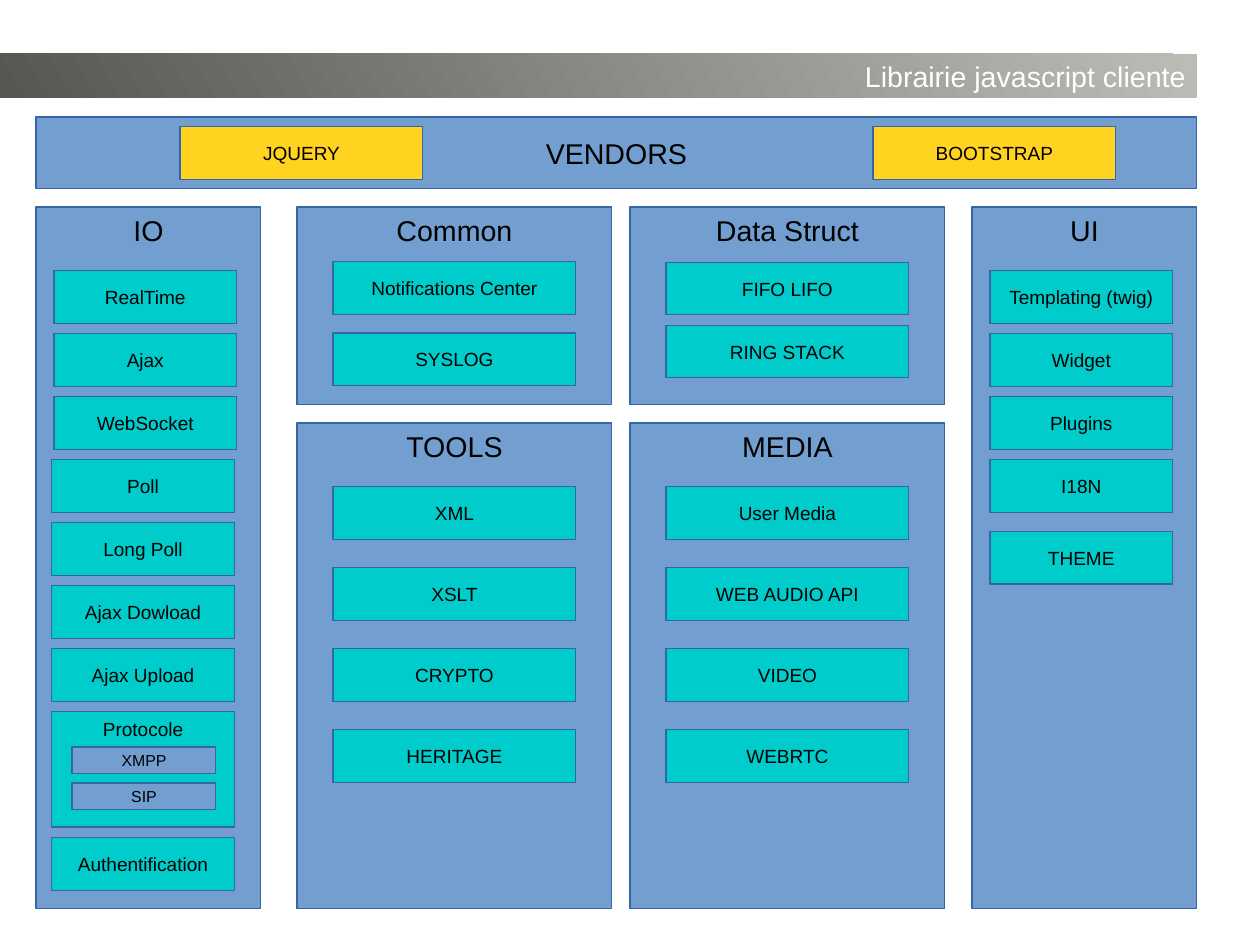
from pptx import Presentation
from pptx.dml.color import RGBColor
from pptx.enum.shapes import MSO_SHAPE
from pptx.enum.text import MSO_ANCHOR, PP_ALIGN
from pptx.util import Cm, Pt

COLUMNS, ROWS = 28, 21
CELL = Cm(1)
BOX_HEIGHT = 1.17
NARROW, WIDE = 4.06, 5.4
STEP, LOOSE_STEP = 1.4, 1.8
FIRST_ROW, TOOLS_ROW = 6.02, 10.82

COLORS = {
    "panel": "729FCF",
    "module": "00CCCC",
    "vendor": "FFD320",
    "border": "3465A4",
    "text": "000000",
    "title": "FFFFFF",
    "band_light": "BABDB6",
    "band_dark": "555753",
}


def color(name):
    return RGBColor.from_string(COLORS[name])


def block(slide, label, column, row, width, height, size,
          anchor=MSO_ANCHOR.MIDDLE, align=PP_ALIGN.CENTER, ink="text"):
    area = [round(cells * CELL) for cells in (column, row, width, height)]
    rectangle = slide.shapes.add_shape(MSO_SHAPE.RECTANGLE, *area)
    rectangle.shadow.inherit = False
    frame = rectangle.text_frame
    frame.word_wrap = True
    frame.vertical_anchor = anchor
    paragraph = frame.paragraphs[0]
    paragraph.text = label
    paragraph.alignment = align
    paragraph.font.name = "Arial"
    paragraph.font.size = Pt(size)
    paragraph.font.color.rgb = color(ink)
    return rectangle


def title_band(slide, label):
    band = block(slide, label, 0, 1.19, 26.6, 0.97, 18,
                 MSO_ANCHOR.TOP, PP_ALIGN.RIGHT, "title")
    band.line.fill.background()
    band.fill.gradient()
    band.fill.gradient_angle = 210
    for stop, shade in zip(band.fill.gradient_stops, ("band_light", "band_dark")):
        stop.color.rgb = color(shade)


def bordered(slide, label, column, row, width, height, size, fill,
             anchor=MSO_ANCHOR.MIDDLE):
    box = block(slide, label, column, row, width, height, size, anchor)
    box.fill.solid()
    box.fill.fore_color.rgb = color(fill)
    box.line.color.rgb = color("border")
    box.line.width = Pt(0)


def panel(slide, label, column, row, width, height, anchor=MSO_ANCHOR.TOP):
    bordered(slide, label, column, row, width, height, 18, "panel", anchor)


def module(slide, label, column, row, width, fill="module"):
    bordered(slide, label, column, row, width, BOX_HEIGHT, 12, fill)


def stack(slide, labels, column, row, width, step):
    for index, label in enumerate(labels):
        module(slide, label, column, row + index * step, width)


def vendors(slide):
    panel(slide, "VENDORS", 0.8, 2.6, 25.8, 1.6, MSO_ANCHOR.MIDDLE)
    for label, column in (("JQUERY", 4), ("BOOTSTRAP", 19.4)):
        module(slide, label, column, 2.82, WIDE, "vendor")


def io_panel(slide):
    panel(slide, "IO", 0.8, 4.6, 5, 15.6)
    live = ["RealTime", "Ajax", "WebSocket"]
    transfers = ["Poll", "Long Poll", "Ajax Dowload", "Ajax Upload"]
    stack(slide, live, 1.2, FIRST_ROW, NARROW, STEP)
    stack(slide, transfers, 1.15, FIRST_ROW + 3 * STEP, NARROW, STEP)
    bordered(slide, "Protocole", 1.15, FIRST_ROW + 7 * STEP, NARROW, 2.56, 12,
             "module", MSO_ANCHOR.TOP)
    for index, protocol in enumerate(["XMPP", "SIP"]):
        bordered(slide, protocol, 1.6, 16.6 + 0.8 * index, 3.2, 0.6, 10, "panel")
    module(slide, "Authentification", 1.15, FIRST_ROW + 9 * STEP, NARROW)


def middle_panels(slide):
    panel(slide, "Common", 6.6, 4.6, 7, 4.4)
    stack(slide, ["Notifications Center", "SYSLOG"], 7.4, 5.82, WIDE, 1.58)
    panel(slide, "Data Struct", 14, 4.6, 7, 4.4)
    stack(slide, ["FIFO LIFO", "RING STACK"], 14.8, 5.83, WIDE, STEP)
    panel(slide, "TOOLS", 6.6, 9.4, 7, 10.8)
    stack(slide, ["XML", "XSLT", "CRYPTO", "HERITAGE"],
          7.4, TOOLS_ROW, WIDE, LOOSE_STEP)
    panel(slide, "MEDIA", 14, 9.4, 7, 10.8)
    stack(slide, ["User Media", "WEB AUDIO API", "VIDEO", "WEBRTC"],
          14.8, TOOLS_ROW, WIDE, LOOSE_STEP)


def ui_panel(slide):
    panel(slide, "UI", 21.6, 4.6, 5, 15.6)
    stack(slide, ["Templating (twig)", "Widget", "Plugins", "I18N"],
          22, FIRST_ROW, NARROW, STEP)
    module(slide, "THEME", 22, 11.81, NARROW)


def main():
    presentation = Presentation()
    presentation.slide_width = COLUMNS * CELL
    presentation.slide_height = ROWS * CELL
    slide = presentation.slides.add_slide(presentation.slide_layouts[6])
    title_band(slide, "Librairie javascript cliente")
    vendors(slide)
    io_panel(slide)
    middle_panels(slide)
    ui_panel(slide)
    presentation.save("out.pptx")


if __name__ == "__main__":
    main()
